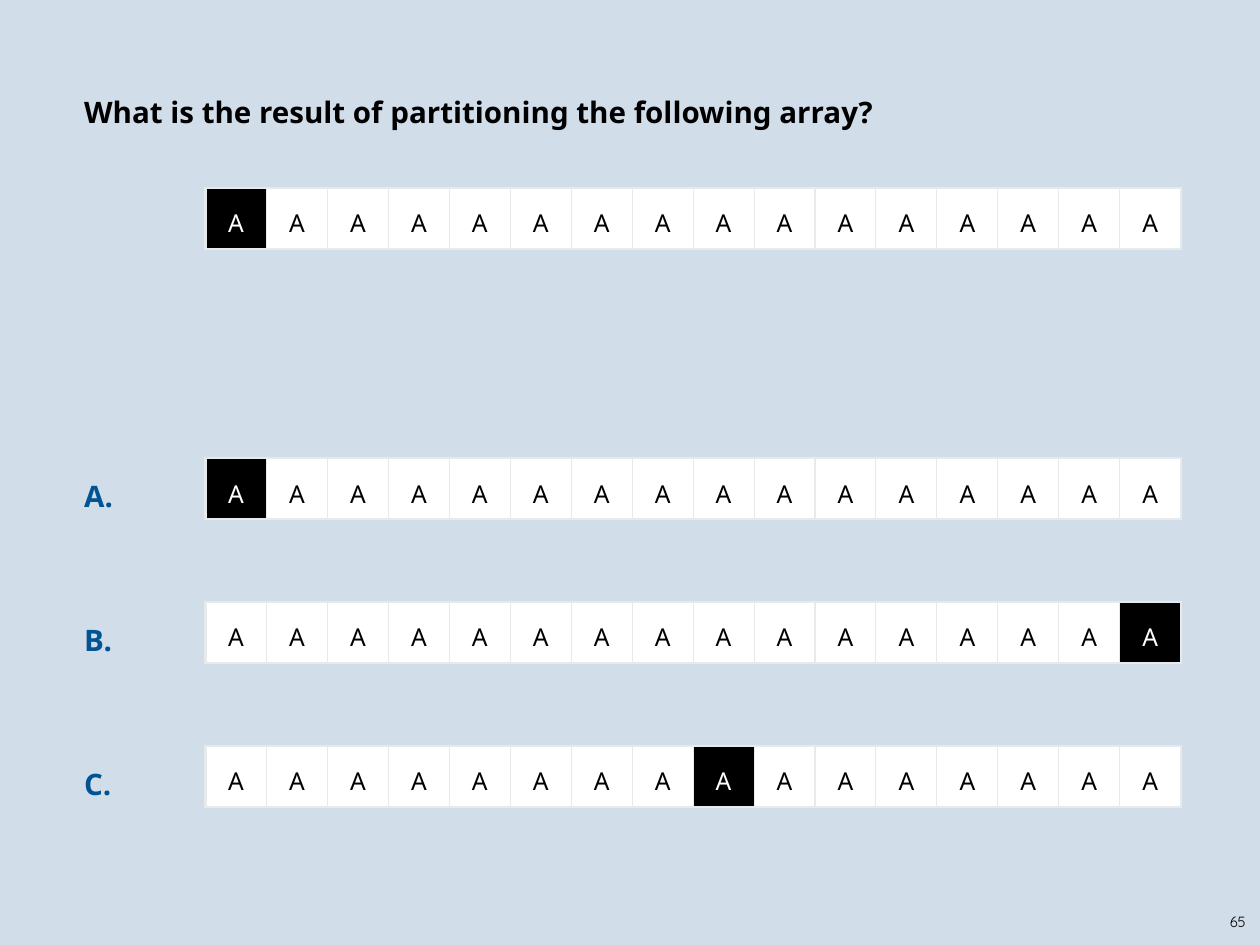
from lxml.etree import SubElement
from pptx import Presentation
from pptx.dml.color import RGBColor
from pptx.enum.shapes import MSO_SHAPE
from pptx.enum.text import MSO_ANCHOR, PP_ALIGN
from pptx.oxml.ns import qn
from pptx.util import Inches, Pt

WIDTH, HEIGHT = 14.22, 10.67
CELL_COUNT = 16
LINE_POINTS = 39
ANSWER_TOP = 5.17
ANSWER_STEP = 3 * LINE_POINTS / 72
ANSWERS = {"A.": 0, "B.": 15, "C.": 8}
BLACK, WHITE, BLUE, GRID = "000000", "FFFFFF", "005493", "E7EAEB"


def color(value):
    return RGBColor.from_string(value)


def set_all(target, values):
    for name, value in values.items():
        setattr(target, name, value)


def margins(value):
    return {f"margin_{side}": Inches(value) for side in ("left", "top", "right", "bottom")}


def write(para, text, size, hue, font="Noto Sans", bold=False):
    span = para.add_run()
    span.text = text
    set_all(span.font, {"name": font, "size": Pt(size), "bold": bold})
    span.font.color.rgb = color(hue)


def add_background(page):
    fill = page.background.fill
    fill.solid()
    fill.fore_color.rgb = color("F2F2F2")
    tint = page.shapes.add_shape(MSO_SHAPE.RECTANGLE, 0, 0, Inches(WIDTH), Inches(HEIGHT))
    tint.shadow.inherit = False
    tint.line.fill.background()
    tint.fill.solid()
    tint.fill.fore_color.rgb = color("92B4DB")
    hue = tint.fill._xPr.find(qn("a:solidFill"))[0]
    SubElement(hue, qn("a:alpha"), val="33000")


def add_question(page, left, top, width, height):
    box = page.shapes.add_textbox(Inches(left), Inches(top), Inches(width), Inches(height))
    frame = box.text_frame
    set_all(frame, {**margins(0), "margin_left": Inches(0.06), "word_wrap": True})
    question = "What is the result of partitioning the following array?"
    lines = [(question, BLACK, 0)]
    lines += [(label, BLUE, 7 if index == 0 else 2) for index, label in enumerate(ANSWERS)]
    for index, (text, hue, skipped) in enumerate(lines):
        para = frame.add_paragraph() if index else frame.paragraphs[0]
        set_all(para, {"line_spacing": Pt(LINE_POINTS), "space_before": Pt(skipped * LINE_POINTS)})
        write(para, text, 24, hue, bold=True)


def add_border(cell, side, points):
    line = SubElement(cell._tc.get_or_add_tcPr(), qn(f"a:ln{side}"), w=str(Pt(points)))
    fill = SubElement(line, qn("a:solidFill"))
    SubElement(fill, qn("a:srgbClr"), val=GRID)


def add_array(page, left, top, width, height, pivot):
    frame = page.shapes.add_table(
        1, CELL_COUNT, Inches(left), Inches(top), Inches(width), Inches(height))
    table = frame.table
    set_all(table, {"first_row": False, "horz_banding": False})
    for index, cell in enumerate(table.iter_cells()):
        table.columns[index].width = Inches(width / CELL_COUNT)
        set_all(cell, {**margins(0.06), "vertical_anchor": MSO_ANCHOR.MIDDLE})
        add_border(cell, "L", 2 if index == 0 else 1)
        add_border(cell, "R", 2 if index == CELL_COUNT - 1 else 1)
        add_border(cell, "T", 2)
        add_border(cell, "B", 2)
        is_pivot = index == pivot
        cell.fill.solid()
        cell.fill.fore_color.rgb = color(BLACK if is_pivot else WHITE)
        para = cell.text_frame.paragraphs[0]
        set_all(para, {"alignment": PP_ALIGN.CENTER, "line_spacing": 1.3})
        write(para, "A", 20, WHITE if is_pivot else BLACK)


def add_page_number(page, left, top, width, height):
    box = page.shapes.add_textbox(Inches(left), Inches(top), Inches(width), Inches(height))
    frame = box.text_frame
    set_all(frame, {**margins(0.06), "word_wrap": False, "vertical_anchor": MSO_ANCHOR.MIDDLE})
    para = frame.paragraphs[0]
    para.alignment = PP_ALIGN.CENTER
    write(para, "65", 12, BLACK, font="Quicksand")


def main():
    deck = Presentation()
    set_all(deck, {"slide_width": Inches(WIDTH), "slide_height": Inches(HEIGHT)})
    page = deck.slides.add_slide(deck.slide_layouts[6])
    add_background(page)
    add_question(page, 0.89, 0.92, 12.44, 9.36)
    add_page_number(page, 13.8, 10.25, 0.34, 0.32)
    add_array(page, 2.32, 2.12, 11.01, 0.69, pivot=0)
    for index, pivot in enumerate(ANSWERS.values()):
        add_array(page, 2.32, ANSWER_TOP + index * ANSWER_STEP, 11.01, 0.69, pivot)
    deck.save("out.pptx")


if __name__ == "__main__":
    main()
